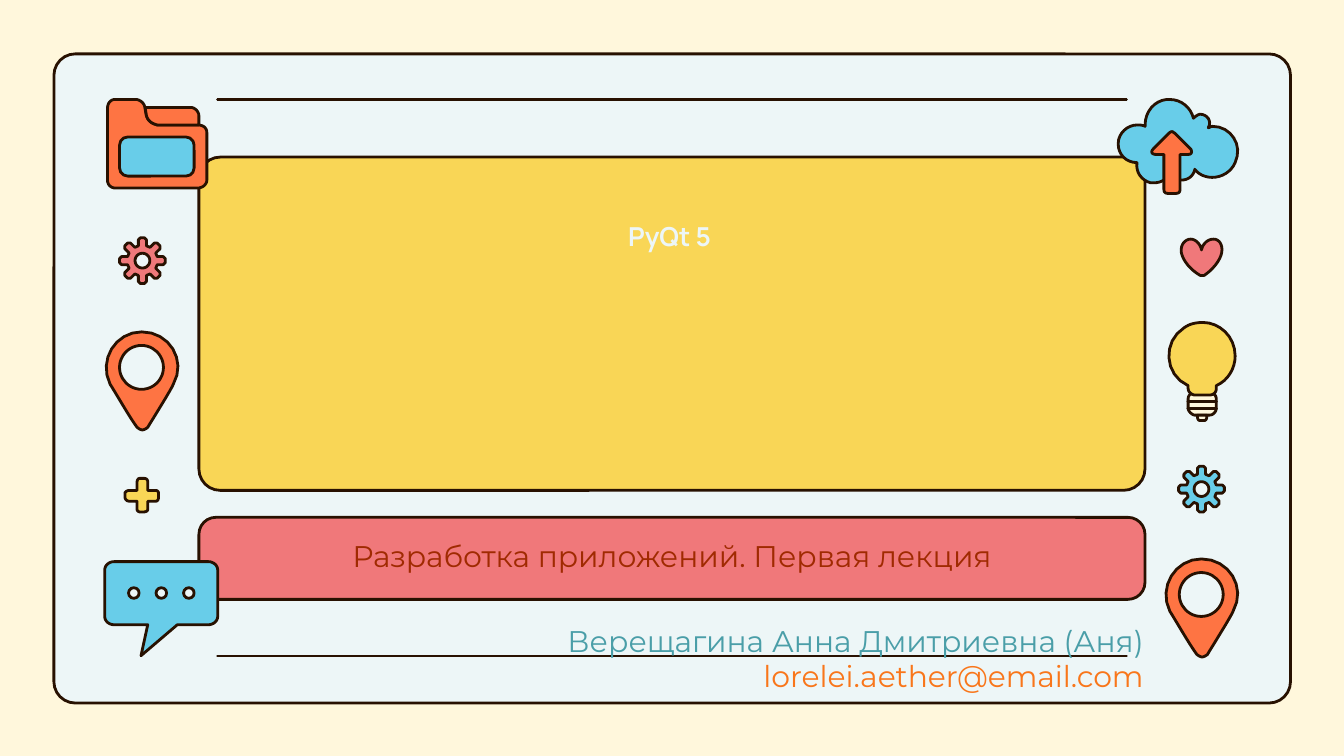
from math import cos, pi, sin

from lxml import etree
from pptx import Presentation
from pptx.dml.color import RGBColor
from pptx.enum.shapes import MSO_CONNECTOR, MSO_SHAPE
from pptx.enum.text import MSO_ANCHOR, PP_ALIGN
from pptx.oxml.ns import qn
from pptx.util import Cm, Pt

CREAM = RGBColor(0xFF, 0xF7, 0xDC)
INK = RGBColor(0x28, 0x11, 0x01)
PANEL = RGBColor(0xED, 0xF6, 0xF7)
YELLOW = RGBColor(0xF9, 0xD6, 0x56)
PINK = RGBColor(0xF0, 0x78, 0x7A)
ORANGE = RGBColor(0xFE, 0x74, 0x43)
BLUE = RGBColor(0x68, 0xCD, 0xE9)
RUST = RGBColor(0xA0, 0x2A, 0x01)
TEAL = RGBColor(0x4A, 0x9E, 0xA8)
AMBER = RGBColor(0xF9, 0x76, 0x1A)

ROUNDED, OVAL = MSO_SHAPE.ROUNDED_RECTANGLE, MSO_SHAPE.OVAL
STRAIGHT = MSO_CONNECTOR.STRAIGHT
TOP, MIDDLE = MSO_ANCHOR.TOP, MSO_ANCHOR.MIDDLE
CENTER, RIGHT = PP_ALIGN.CENTER, PP_ALIGN.RIGHT

GRID = Cm(2.54) / 100  # one step of the icon outlines
CURVE_STEPS = 8


def apply_style(shape, fill=None):
    """Give a shape or connector the ink line, no shadow and an optional fill."""
    if fill is not None:
        shape.fill.solid()
        shape.fill.fore_color.rgb = fill
    shape.line.color.rgb = INK
    shape.line.width = Pt(1.5)
    properties = shape._element.spPr
    line = properties.find(qn("a:ln"))
    line.set("cap", "rnd")
    etree.SubElement(line, qn("a:round"))
    etree.SubElement(properties, qn("a:effectLst"))


def add_outline(path, fill, dx=0, dy=0):
    """Draw closed contours from M, L and C commands, with curves as short lines."""
    contours = []
    for command in path.replace("M", "|M").replace("L", "|L").replace("C", "|C").split("|")[1:]:
        values = [float(value) for value in command[1:].split()]
        points = [((x + dx) * GRID, (y + dy) * GRID)
                  for x, y in zip(values[::2], values[1::2])]
        if command[0] == "M":
            contours.append(points)
        elif command[0] == "L":
            contours[-1] += points
        else:
            for i in range(0, len(points), 3):
                controls = [contours[-1][-1]] + points[i:i + 3]
                for step in range(1, CURVE_STEPS + 1):
                    t = step / CURVE_STEPS
                    weights = ((1 - t) ** 3, 3 * t * (1 - t) ** 2, 3 * t * t * (1 - t), t ** 3)
                    contours[-1].append(tuple(
                        sum(w * point[axis] for w, point in zip(weights, controls))
                        for axis in (0, 1)))
    builder = slide.shapes.build_freeform(*contours[0][0])
    for index, contour in enumerate(contours):
        if index:
            builder.move_to(*contour[0])
        builder.add_line_segments(contour[1:], close=True)
    apply_style(builder.convert_to_shape(), fill)


presentation = Presentation()
presentation.slide_width, presentation.slide_height = Cm(25.4), Cm(14.29)
slide = presentation.slides.add_slide(presentation.slide_layouts[6])
slide.background.fill.solid()
slide.background.fill.fore_color.rgb = CREAM

# Panel, rules and banners
panel = slide.shapes.add_shape(ROUNDED, Cm(1.02), Cm(1.02), Cm(23.37), Cm(12.27))
panel.adjustments[0] = 0.033
apply_style(panel, PANEL)
for y in (12.4, 1.88):
    apply_style(slide.shapes.add_connector(STRAIGHT, Cm(4.11), Cm(y), Cm(21.29), Cm(y)))
for y, height, corner, color in ((2.97, 6.3, 0.064, YELLOW), (9.78, 1.55, 0.207, PINK)):
    banner = slide.shapes.add_shape(ROUNDED, Cm(3.76), Cm(y), Cm(17.88), Cm(height))
    banner.adjustments[0] = corner
    apply_style(banner, color)

# Map pins
for dx, dy in ((0, 0), (788.5, 169)):
    add_outline("M105.5 247 C86 247 73 268 82 286 C84 289 98 313 102 318 "
                "C103 319 105 320 106 320 C107 320 109 319 110 318 "
                "C113 313 128 289 129 286 C139 268 126 247 105.5 247", ORANGE, dx, dy)
    hole = slide.shapes.add_shape(OVAL, Cm(2.26) + int(dx * GRID), Cm(6.53) + int(dy * GRID),
                                  Cm(0.83), Cm(0.83))
    apply_style(hole, PANEL)

# Speech bubble
add_outline("M85 418 C81 418 78 421 78 424 L78 459 C78 462 81 465 85 465 L110 465 105 488 "
            "132 465 155 465 C159 465 162 462 162 459 L162 424 C162 421 159 418 155 418", BLUE)
for dot in range(3):
    apply_style(slide.shapes.add_shape(OVAL, Cm(2.43 + 0.52 * dot), Cm(11.11),
                                       Cm(0.2), Cm(0.2)), PANEL)

# Cloud with upload arrow
add_outline("M870 74 C869 74 869 74 868 74 C859 75 852 83 852 93 L852 94 "
            "C850 93 848 93 846 93 C839 93 832 99 832 107 C832 115 838 121 846 121 "
            "C845 128 849 134 856 136 C857 136 858 136 859 136 C864 136 869 133 871 128 "
            "C873 132 876 134 879 134 C884 134 888 131 889 126 C892 130 897 132 902 132 "
            "C909 132 916 128 919 121 C925 108 916 94 902 94 C901 94 900 95 899 95 "
            "C902 90 898 85 893 85 C892 85 890 86 888 88 C886 80 879 74 870 74", BLUE)
add_outline("M872 98 C871 98 870 99 870 99 L858 111 C856 113 857 115 860 115 L866 115 866 141 "
            "C866 143 867 144 869 144 L875 144 C877 144 878 143 878 141 L878 115 884 115 "
            "C887 115 887 113 886 111 L874 99 C873 99 873 98 872 98", ORANGE)

# Plus sign
add_outline("M104 356 C103 356 102 357 102 359 L102 365 96 365 C95 365 93 366 93 367 L93 370 "
            "C93 372 95 373 96 373 L102 373 102 379 C102 380 103 381 104 381 L107 381 "
            "C109 381 110 380 110 379 L110 373 116 373 C117 373 118 372 118 370 L118 367 "
            "C118 366 117 365 116 365 L110 365 110 359 C110 357 109 356 107 356", YELLOW)

# Folder
add_outline("M86 74 C82 74 80 77 80 81 L80 134 C80 137 82 140 86 140 L147 140 "
            "C151 140 154 137 154 134 L154 99 C154 95 151 93 147 93 L117 93 "
            "C113 92 110 90 109 86 L108 81 C108 77 104 74 101 74", ORANGE)
add_outline("M108 80 L109 86 C110 90 113 92 117 93 L148 93 148 86 C148 83 145 80 142 80", ORANGE)
label = slide.shapes.add_shape(ROUNDED, Cm(2.26), Cm(2.59), Cm(1.41), Cm(0.74))
label.adjustments[0] = 0.21
apply_style(label, BLUE)

# Gears: eight rounded teeth around a hole
TOOTH = ((-3, 11), (-3, 15.5), (-1.5, 17), (1.5, 17), (3, 15.5), (3, 11))
for center_x, center_y, color in ((106, 194, PINK), (894, 364, BLUE)):
    rim = []
    for tooth in range(8):
        angle = tooth * pi / 4
        for across, out in TOOTH:
            rim.append(f"{center_x + across * cos(angle) + out * sin(angle):.2f} "
                       f"{center_y + across * sin(angle) - out * cos(angle):.2f}")
    hole = [f"{center_x + 5.5 * cos(step * pi / 16):.2f} "
            f"{center_y + 5.5 * sin(step * pi / 16):.2f}" for step in range(32)]
    add_outline(" ".join(f"M{ring[0]} L{' '.join(ring[1:])} " for ring in (rim, hole)), color)

# Heart
add_outline("M886 178 C882 178 878 182 879 188 C880 194 886 201 893 205 C893 205 894 205 894 205 "
            "C895 205 895 205 896 205 C902 201 908 194 909 188 C910 182 907 178 903 178 "
            "C899 178 895 181 894 186 C893 181 889 178 886 178", PINK)

# Light bulb
add_outline("M886 293 C885 294 884 295 884 297 L884 304 C884 306 887 309 889 309 L900 309 "
            "C903 309 905 306 905 304 L905 297 C905 295 904 294 903 293", CREAM)
add_outline("M891 309 L891 310 C891 312 892 313 893 313 L896 313 C897 313 898 312 898 310 "
            "L898 309", CREAM)
for y in (7.72, 7.59):
    apply_style(slide.shapes.add_connector(STRAIGHT, Cm(22.45), Cm(y), Cm(22.99), Cm(y)))
add_outline("M895 240 C890 240 885 241 881 244 C865 254 866 279 884 287 L884 289 "
            "C884 292 887 294 889 294 L900 294 C903 294 905 292 905 289 L905 287 "
            "C914 283 919 274 919 265 C919 250 907 240 895 240", YELLOW)

# Texts: box, anchor, alignment, font, size, bold, lines with their colours
TEXTS = (
    ((4.22, 9.86, 16.97, 1.3), MIDDLE, CENTER, "Montserrat", 16, False,
     (("Разработка приложений. Первая лекция", RUST),)),
    ((6.05, 4.04, 13.31, 4.17), TOP, CENTER, "Manrope", 14, True, (("PyQt 5 ", PANEL),)),
    ((4.9, 11.79, 16.97, 1.3), MIDDLE, RIGHT, "Montserrat", 16, False,
     (("Верещагина Анна Дмитриевна (Аня)", TEAL), ("lorelei.aether@email.com", AMBER))),
)
for box, anchor, alignment, font_name, size, bold, lines in TEXTS:
    text_frame = slide.shapes.add_textbox(*map(Cm, box)).text_frame
    text_frame.word_wrap = True
    text_frame.vertical_anchor = anchor
    text_frame.text = "\n".join(text for text, color in lines)
    for paragraph, (text, color) in zip(text_frame.paragraphs, lines):
        paragraph.alignment = alignment
        font = paragraph.runs[0].font
        font.name, font.size, font.bold = font_name, Pt(size), bold
        font.color.rgb = color

presentation.save("out.pptx")
